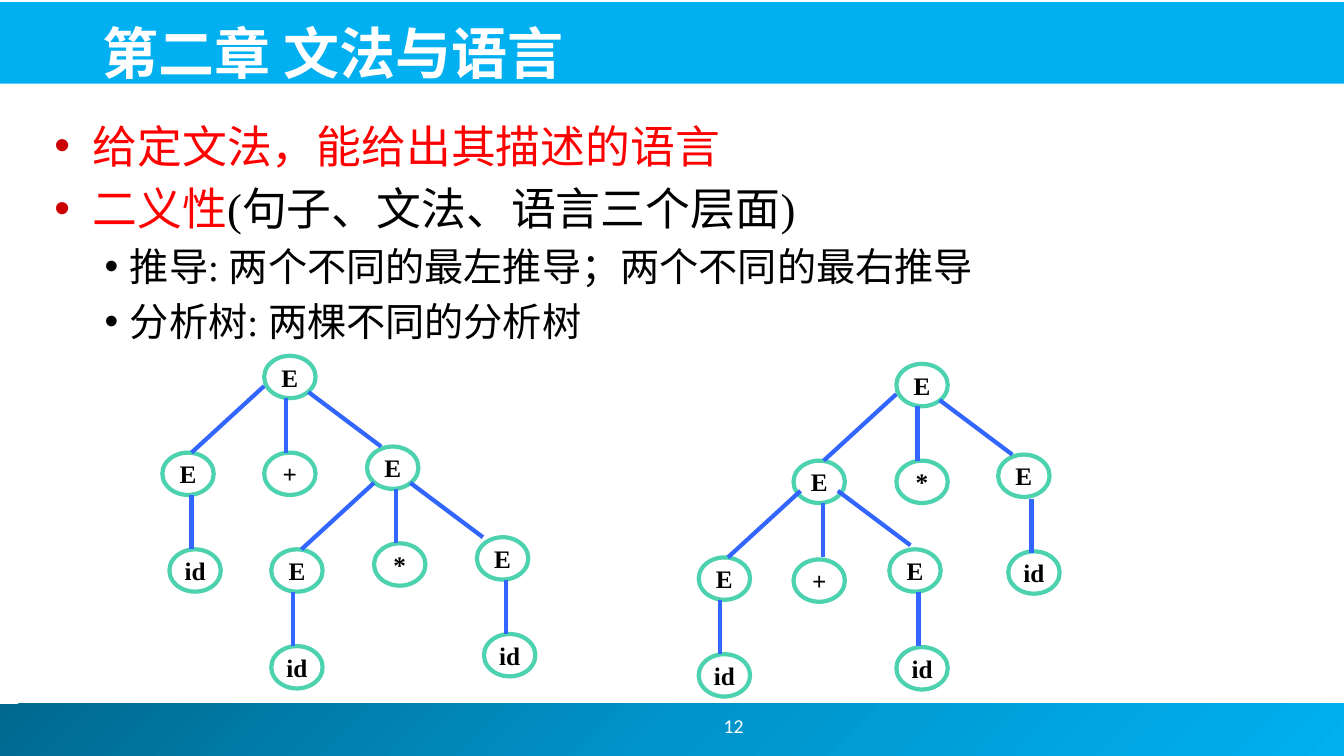
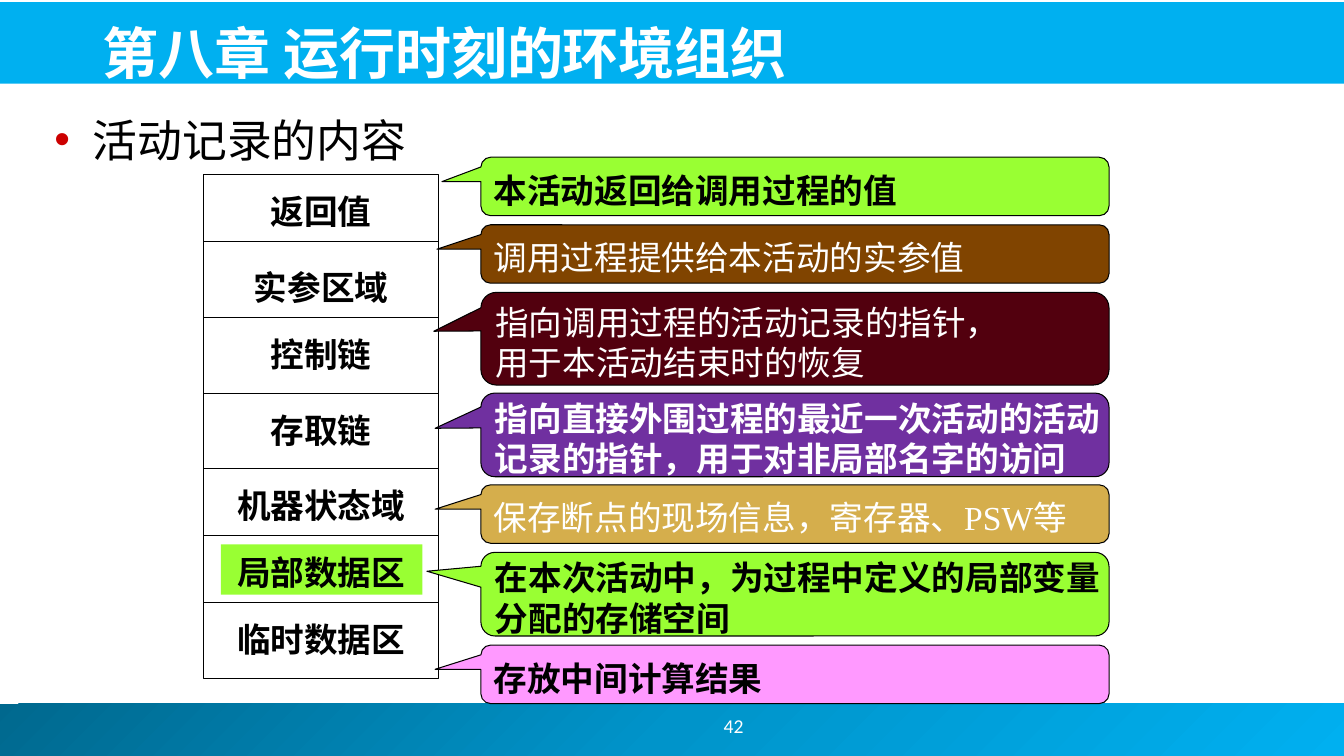
from copy import deepcopy
from itertools import pairwise

from pptx import Presentation
from pptx.dml.color import RGBColor
from pptx.enum import shapes, text
from pptx.oxml import ns
from pptx.util import Inches, Pt
from lxml import etree

SERIF, SANS, CJK = "Times New Roman", "Calibri", "Noto Sans CJK JP"
BLACK, WHITE, RED, BULLET_RED = "000000", "FFFFFF", "FF0000", "CC0000"
SKY, NODE_GREEN, EDGE_BLUE, LIME = "00B0F0", "4CD2AF", "3366FF", "99FF33"
FOOTER_STOPS = [(0, "00688E"), (0.5, "0094CA"), (1, SKY)]
LINE_FACTOR = 1.2  # line pitch of Chinese text, in ems
MIDDLE = text.MSO_ANCHOR.MIDDLE
CENTER = text.PP_ALIGN.CENTER

# Node: label, x, y. Edge: direction, x, y. All relative to the tree's corner.
NODE_SIZE = (0.51, 0.42)
EDGE_STEPS = {"left": (-0.72, 0.66), "down": (0, 0.54), "right": (0.72, 0.54)}
SUM_TREE = {
    "nodes": [("E", 1.01, 0), ("E", 0, 0.96), ("+", 1.01, 0.96), ("E", 2.03, 0.9),
              ("id", 0.07, 1.92), ("E", 1.08, 1.92), ("*", 2.1, 1.86),
              ("E", 3.12, 1.8), ("id", 1.08, 2.88), ("id", 3.19, 2.76)],
    "edges": [("left", 1.01, 0.3), ("down", 1.23, 0.42), ("right", 1.45, 0.36),
              ("down", 0.29, 1.38), ("left", 2.1, 1.26), ("down", 2.32, 1.32),
              ("right", 2.46, 1.26), ("down", 1.3, 2.34), ("down", 3.41, 2.22)],
}
PRODUCT_TREE = {
    "nodes": [("E", 1.96, 0), ("E", 0.94, 0.96), ("*", 1.96, 0.96), ("E", 2.97, 0.9),
              ("id", 3.07, 1.86), ("E", 0, 1.92), ("+", 0.94, 1.94),
              ("E", 1.89, 1.84), ("id", 0, 2.88), ("id", 1.96, 2.81)],
    "edges": [("left", 1.96, 0.3), ("down", 2.17, 0.42), ("right", 2.39, 0.36),
              ("down", 1.23, 1.38), ("left", 1.01, 1.26), ("right", 1.38, 1.26),
              ("down", 3.3, 1.34), ("down", 0.21, 2.34), ("down", 2.18, 2.26)],
}

RECORD_FIELDS = ["返回值", "实参区域", "控制链", "存取链", "机器状态域", "局部数据区", "临时数据区"]
ROW_EDGES = [0, 0.67, 1.42, 2.17, 2.92, 3.58, 4.25, 5]
# Callout: y, height, pointer, fill, text colour, bold, lines
CALLOUTS = [
    (0, 0.58, (-0.562, -0.083), LIME, BLACK, True, ["本活动返回给调用过程的值"]),
    (0.67, 0.58, (-0.57, -0.083), "804400", WHITE, False, ["调用过程提供给本活动的实参值"]),
    (1.34, 0.92, (-0.575, -0.08), "52000E", WHITE, False,
     ["指向调用过程的活动记录的指针，", "用于本活动结束时的恢复"]),
    (2.34, 0.83, (-0.573, -0.079), "7030A0", WHITE, True,
     ["指向直接外围过程的最近一次活动的活动", "记录的指针，用于对非局部名字的访问"]),
    (3.25, 0.58, (-0.573, -0.083), "D5AE4C", WHITE, False, ["保存断点的现场信息，寄存器、PSW等"]),
    (3.92, 0.83, (-0.586, -0.274), LIME, BLACK, True,
     ["在本次活动中，为过程中定义的局部变量", "分配的存储空间"]),
    (4.84, 0.58, (-0.573, -0.086), "FF99FF", BLACK, True, ["存放中间计算结果"]),
]


def rgb(color):
    return RGBColor.from_string(color)


def lengths(*values):
    return [Inches(value) for value in values]


def add_run(paragraph, words, size, color, font=SERIF, bold=False):
    run = paragraph.add_run()
    run.text = words
    run.font.name, run.font.size, run.font.bold = font, Pt(size), bold
    run.font.color.rgb = rgb(color)
    properties = run.font._element
    properties.set("lang", "zh-CN")
    latin = properties.find(ns.qn("a:latin"))
    latin.addnext(etree.Element(ns.qn("a:ea"), typeface=CJK))


def set_frame(shape, size, anchor, wrap=True, chinese=True):
    """Set anchor and insets; Chinese text drops slightly to suit its line pitch."""
    frame = shape.text_frame
    drop = 0.1 * size / 72 if chinese else 0
    frame.margin_top = Inches(0.05 + drop)
    frame.margin_bottom = Inches(0.05 - drop)
    frame.vertical_anchor, frame.word_wrap = anchor, wrap
    return frame


def fill_lines(frame, lines, size, color, font=SERIF, bold=False, align=None):
    for index, words in enumerate(lines):
        paragraph = frame.add_paragraph() if index else frame.paragraphs[0]
        paragraph.alignment = align
        paragraph.line_spacing = Pt(size * LINE_FACTOR)
        add_run(paragraph, words, size, color, font, bold)


def add_box(parent, kind, box, fill=None, line=None, width=0.75):
    shape = parent.add_shape(kind, *lengths(*box))
    shape.shadow.inherit = False
    if fill:
        shape.fill.solid()
        shape.fill.fore_color.rgb = rgb(fill)
    else:
        shape.fill.background()
    if line:
        shape.line.color.rgb = rgb(line)
        shape.line.width = Pt(width)
    else:
        shape.line.fill.background()
    return shape


def add_line(parent, start, end, color, width):
    line = parent.add_connector(shapes.MSO_CONNECTOR.STRAIGHT, *lengths(*start, *end))
    line.line.color.rgb = rgb(color)
    line.line.width = Pt(width)
    etree.SubElement(line._element.spPr, ns.qn("a:effectLst"))


def add_chapter_slide(presentation, title, number):
    """Add a slide with the shared title band, footer band and page number."""
    slide = presentation.slides.add_slide(presentation.slide_layouts[6])
    rectangle = shapes.MSO_SHAPE.RECTANGLE
    footer = add_box(slide.shapes, rectangle, (-0.05, 6.98, 13.39, 0.52))
    footer.fill.gradient()
    footer.fill.gradient_angle = 315
    stop_list = footer._element.spPr.find(".//" + ns.qn("a:gsLst"))
    stop_list.insert(1, deepcopy(stop_list[0]))
    for stop, (position, color) in zip(footer.fill.gradient_stops, FOOTER_STOPS):
        stop.position = position
        stop.color.rgb = rgb(color)
    add_box(slide.shapes, rectangle, (-0.02, 0.02, 13.36, 0.81), SKY)

    heading = slide.shapes.add_textbox(*lengths(0.92, 0.05, 11.97, 0.79))
    frame = set_frame(heading, 40, text.MSO_ANCHOR.BOTTOM)
    fill_lines(frame, [title], 40, WHITE, CJK, True)
    page = slide.shapes.add_textbox(*lengths(5.83, 6.95, 2.89, 0.5))
    frame = set_frame(page, 14, MIDDLE, chinese=False)
    frame.paragraphs[0].alignment = CENTER
    add_run(frame.paragraphs[0], number, 14, WHITE, SANS)
    return slide


def add_bullets(slide, box, items):
    """Add bulleted lines; each item is a level and its (words, colour) runs."""
    body = slide.shapes.add_textbox(*lengths(*box))
    frame = set_frame(body, 32, text.MSO_ANCHOR.TOP)
    for index, (level, runs) in enumerate(items):
        paragraph = frame.add_paragraph() if index else frame.paragraphs[0]
        size, margin, hanging, color = [
            (32, 0.38, 0.38, BULLET_RED), (28, 0.75, 0.25, BLACK)][level]
        paragraph.level = level
        paragraph.line_spacing = Pt(size * LINE_FACTOR)
        paragraph.space_before = Pt(size * 0.2 if index else 0)
        properties = paragraph._p.get_or_add_pPr()
        properties.set("marL", str(Inches(margin)))
        properties.set("indent", str(-Inches(hanging)))
        bullet_color = etree.SubElement(properties, ns.qn("a:buClr"))
        etree.SubElement(bullet_color, ns.qn("a:srgbClr"), val=color)
        etree.SubElement(properties, ns.qn("a:buFont"), typeface="Arial")
        etree.SubElement(properties, ns.qn("a:buChar"), char="•")
        for words, run_color in runs:
            add_run(paragraph, words, size, run_color)


def add_parse_tree(slide, left, top, tree):
    group = slide.shapes.add_group_shape().shapes
    for label, x, y in tree["nodes"]:
        node = add_box(group, shapes.MSO_SHAPE.OVAL, (left + x, top + y, *NODE_SIZE),
                       line=NODE_GREEN, width=3)
        frame = set_frame(node, 18, MIDDLE, wrap=False, chinese=False)
        frame.paragraphs[0].alignment = CENTER
        add_run(frame.paragraphs[0], label, 18, BLACK, bold=True)
    for direction, x, y in tree["edges"]:
        step_x, step_y = EDGE_STEPS[direction]
        start = (left + x, top + y)
        add_line(group, start, (start[0] + step_x, start[1] + step_y), EDGE_BLUE, 3)


def add_activation_record(slide, left, top, width):
    rectangle = shapes.MSO_SHAPE.RECTANGLE
    add_box(slide.shapes, rectangle, (left + 0.17, top + 3.67, 2, 0.5), LIME)
    add_box(slide.shapes, rectangle, (left, top, width, ROW_EDGES[-1]), line=BLACK)
    for edge in ROW_EDGES[1:-1]:
        add_line(slide.shapes, (left, top + edge), (left + width, top + edge), BLACK, 0.75)
    for field, (start, _) in zip(RECORD_FIELDS, pairwise(ROW_EDGES)):
        gap = 0.16 if field == "实参区域" else 0.08
        label = slide.shapes.add_textbox(*lengths(left, top + start + gap, width, 0.5))
        frame = set_frame(label, 24, MIDDLE)
        fill_lines(frame, [field], 24, BLACK, bold=True, align=CENTER)


def add_callouts(slide, left, top, width):
    kind = shapes.MSO_SHAPE.ROUNDED_RECTANGULAR_CALLOUT
    for y, height, pointer, fill, color, bold, lines in CALLOUTS:
        callout = add_box(slide.shapes, kind, (left, top + y, width, height), fill, BLACK)
        for index, value in enumerate((*pointer, 0.167)):
            callout.adjustments[index] = value
        frame = set_frame(callout, 24, MIDDLE)
        frame.margin_right = 0
        fill_lines(frame, lines, 24, color, bold=bold, align=text.PP_ALIGN.LEFT)


def build_grammar_slide(presentation):
    slide = add_chapter_slide(presentation, "第二章 文法与语言", "12")
    add_bullets(slide, (0.44, 1.08, 12.44, 5.44), [
        (0, [("给定文法，能给出其描述的语言", RED)]),
        (0, [("二义性", RED), ("(句子、文法、语言三个层面)", BLACK)]),
        (1, [("推导: 两个不同的最左推导；两个不同的最右推导", BLACK)]),
        (1, [("分析树: 两棵不同的分析树", BLACK)]),
    ])
    add_parse_tree(slide, 1.61, 3.53, SUM_TREE)
    add_parse_tree(slide, 6.93, 3.61, PRODUCT_TREE)


def build_runtime_slide(presentation):
    slide = add_chapter_slide(presentation, "第八章 运行时刻的环境组织", "42")
    add_bullets(slide, (0.44, 1.02, 12.44, 0.86), [(0, [("活动记录的内容", BLACK)])])
    add_activation_record(slide, 2.02, 1.73, 2.33)
    add_callouts(slide, 4.77, 1.56, 6.23)


def main():
    presentation = Presentation()
    presentation.slide_width, presentation.slide_height = lengths(13.33, 7.5)
    build_grammar_slide(presentation)
    build_runtime_slide(presentation)
    presentation.save("out.pptx")


if __name__ == "__main__":
    main()
